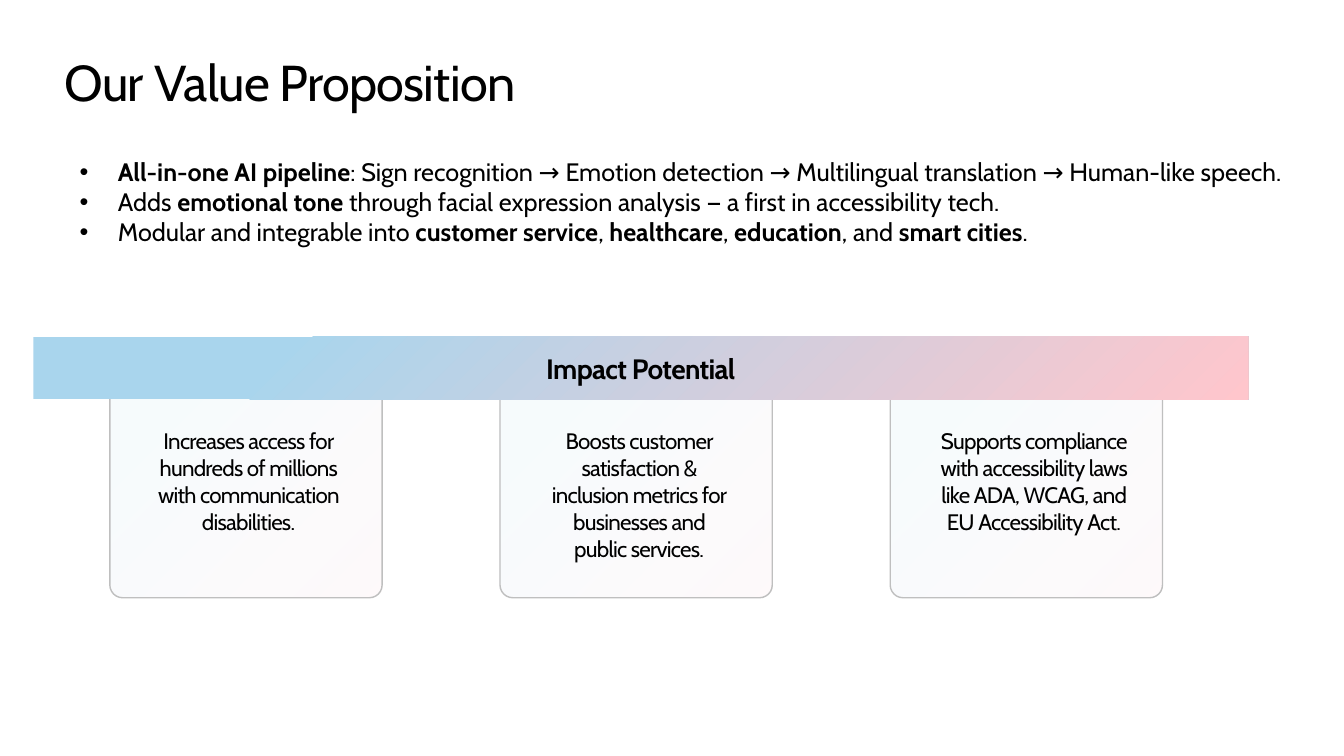
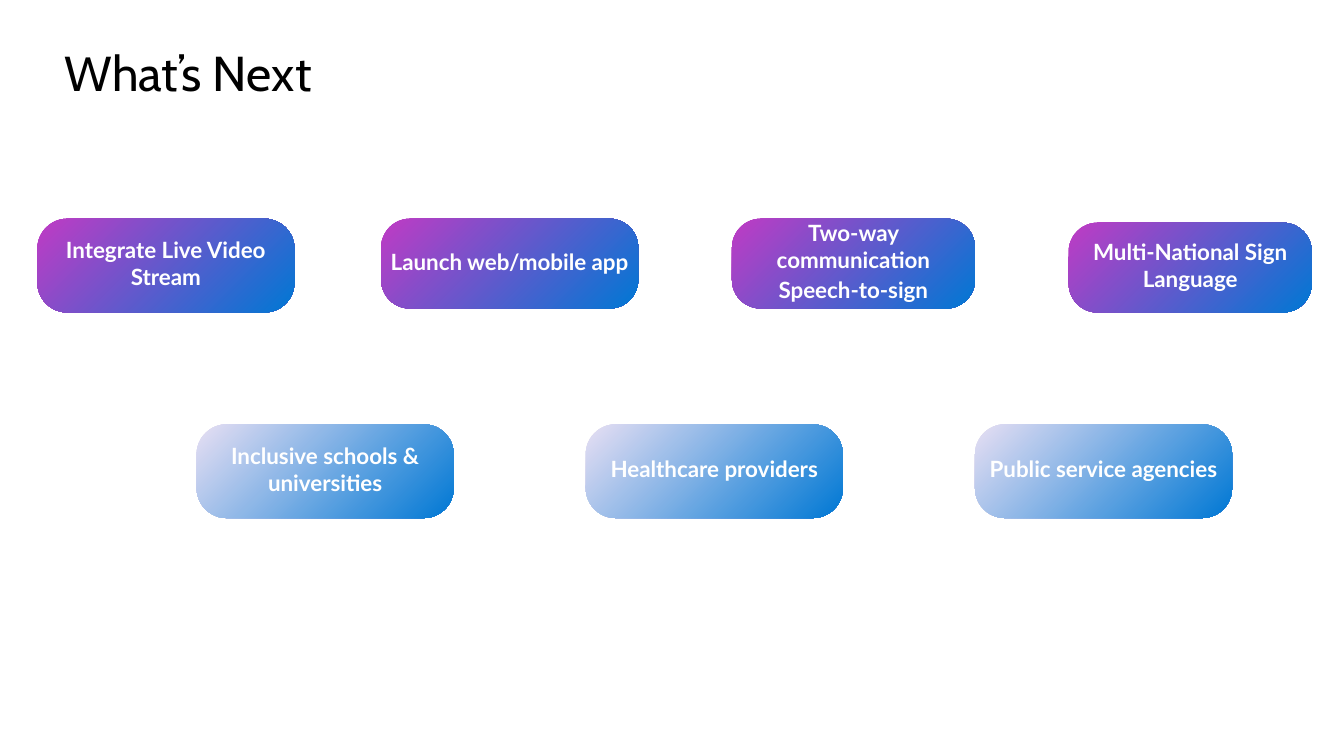
from pptx import Presentation
from pptx.dml.color import RGBColor
from pptx.enum.shapes import MSO_SHAPE as Shape
from pptx.enum.text import MSO_ANCHOR as Anchor, MSO_AUTO_SIZE as AutoSize, PP_ALIGN as Align
from pptx.oxml import parse_xml
from pptx.oxml.ns import nsdecls, qn
from pptx.util import Inches, Pt

BLACK, WHITE, GREY = "000000", "FFFFFF", "BFBFBF"
PINK, SKY = "FFC6CC", "A9D5ED"
PURPLE, LAVENDER, BLUE = "C03BC4", "E7DFF3", "0078D4"
LINEAR = '<a:lin ang="2700000" scaled="0"/>'
RADIAL = '<a:path path="circle"><a:fillToRect l="100000" t="100000"/></a:path>'


def color(value):
    return RGBColor.from_string(value)


class Deck:
    """Holds the shared style and the slide being built."""

    def __init__(self):
        self.presentation = Presentation()
        self.presentation.slide_width = Inches(13.33)
        self.presentation.slide_height = Inches(7.5)
        self.slide = None

    def add_slide(self, title, top, size, spacing=0):
        layout = self.presentation.slide_layouts[5]
        self.slide = self.presentation.slides.add_slide(layout)
        shape = self.slide.shapes.title
        shape.left, shape.top = Inches(0.64), Inches(top)
        shape.width, shape.height = Inches(12.05), Inches(0.61)
        self.set_text(shape, title, size, align=Align.LEFT, spacing=spacing)

    def set_text(self, shape, text, size, font="Cabin", ink=BLACK, bold=False,
                 align=Align.CENTER, anchor=Anchor.MIDDLE, spacing=0, gap=0):
        frame = shape.text_frame
        frame.text = text
        frame.word_wrap = True
        frame.auto_size = AutoSize.NONE
        frame.vertical_anchor = anchor
        frame.margin_left = frame.margin_right = 0
        frame.margin_top = frame.margin_bottom = 0
        for index, paragraph in enumerate(frame.paragraphs):
            paragraph.alignment = align
            if index and gap:
                paragraph.space_before = Pt(gap)
            for run in paragraph.runs:
                self.format_run(run, size, font, ink, bold, spacing)

    def format_run(self, run, size, font="Cabin", ink=BLACK, bold=False, spacing=0):
        run.font.size = Pt(size)
        run.font.name = font
        run.font.bold = bold
        run.font.color.rgb = color(ink)
        if spacing:
            run._r.get_or_add_rPr().set("spc", str(int(spacing * 100)))

    def add_text(self, left, top, width, height, text, size, **style):
        box = self.slide.shapes.add_textbox(
            Inches(left), Inches(top), Inches(width), Inches(height))
        self.set_text(box, text, size, anchor=Anchor.TOP, **style)

    def add_bullets(self, left, top, width, height, items, size):
        """Text between double asterisks becomes bold."""
        box = self.slide.shapes.add_textbox(
            Inches(left), Inches(top), Inches(width), Inches(height))
        self.set_text(box, "", size, anchor=Anchor.TOP, align=Align.LEFT)
        frame = box.text_frame
        for index, item in enumerate(items):
            paragraph = frame.add_paragraph() if index else frame.paragraphs[0]
            properties = paragraph._p.get_or_add_pPr()
            properties.set("marL", str(Inches(0.38)))
            properties.set("indent", str(-Inches(0.38)))
            properties.append(parse_xml(f'<a:buFont {nsdecls("a")} typeface="Arial"/>'))
            properties.append(parse_xml(f'<a:buChar {nsdecls("a")} char="•"/>'))
            for part, text in enumerate(item.split("**")):
                if text:
                    run = paragraph.add_run()
                    run.text = text
                    self.format_run(run, size, bold=part % 2 == 1)

    def add_panel(self, left, top, width, height, stops, direction,
                  kind=Shape.ROUNDED_RECTANGLE, corner=None, opacity=100, outline=None):
        """Shape with a gradient fill; stops are (percent, colour) pairs."""
        shape = self.slide.shapes.add_shape(
            kind, Inches(left), Inches(top), Inches(width), Inches(height))
        shape.shadow.inherit = False
        if corner is not None:
            shape.adjustments[0] = corner
        shape.fill.background()
        placeholder_fill = shape.element.spPr.find(qn("a:noFill"))
        stop_xml = "".join(
            f'<a:gs pos="{percent * 1000}"><a:srgbClr val="{value}">'
            f'<a:alpha val="{opacity * 1000}"/></a:srgbClr></a:gs>'
            for percent, value in stops)
        gradient = parse_xml(
            f'<a:gradFill {nsdecls("a")} rotWithShape="1">'
            f'<a:gsLst>{stop_xml}</a:gsLst>{direction}</a:gradFill>')
        shape.element.spPr.replace(placeholder_fill, gradient)
        if outline:
            shape.line.color.rgb = color(outline)
            shape.line.width = Pt(1)
        else:
            shape.line.fill.background()
        return shape

    def add_pill(self, left, top, width, height, text, start):
        pill = self.add_panel(left, top, width, height,
                              [(0, start), (100, BLUE)], LINEAR, corner=0.32)
        self.set_text(pill, text, 16, font="Lato", ink=WHITE, bold=True, gap=2)
        pill.text_frame.margin_bottom = Inches(0.05)


def build_value_slide(deck):
    deck.add_slide("Our Value Proposition", 0.5, 36, spacing=-0.5)
    deck.add_bullets(0.79, 1.55, 12.14, 0.95, [
        "**All-in-one AI pipeline**: Sign recognition → Emotion detection → "
        "Multilingual translation → Human-like speech.",
        "Adds **emotional tone** through facial expression analysis — "
        "a first in accessibility tech.",
        "Modular and integrable into **customer service**, **healthcare**, "
        "**education**, and **smart cities**.",
    ], 18)

    # Cards hang below the banner
    stops = [(0, PINK), (80, SKY)]
    impacts = [
        (1.49, 1.95, "Increases access for hundreds of millions with "
                     "communication disabilities."),
        (5.41, 1.86, "Boosts customer satisfaction & inclusion metrics for "
                     "businesses and public services."),
        (9.26, 1.99, "Supports compliance with accessibility laws like ADA, "
                     "WCAG, and EU Accessibility Act."),
    ]
    for index, (left, width, text) in enumerate(impacts):
        deck.add_panel(1.09 + 3.87 * index, 3.82, 2.7, 2.11, stops, RADIAL,
                       corner=0.06, opacity=10, outline=GREY)
        deck.add_text(left, 4.24, width, 1.4, text, 16, spacing=-0.5)

    # Banner
    banner = deck.add_panel(0.33, 3.34, 12.05, 0.62, stops, RADIAL, kind=Shape.RECTANGLE)
    deck.set_text(banner, "Impact Potential", 20, bold=True, spacing=-0.5)


def build_next_slide(deck):
    deck.add_slide("What’s Next", 0.41, 35)

    # Product steps
    steps = [
        (0.37, 2.17, 2.55, 0.93, "Integrate Live Video Stream"),
        (3.78, 2.17, 2.55, 0.89, "Launch web/mobile app"),
        (7.26, 2.17, 2.41, 0.89, "Two-way communication\nSpeech-to-sign"),
        (10.6, 2.21, 2.41, 0.89, "Multi-National Sign Language"),
    ]
    for step in steps:
        deck.add_pill(*step, PURPLE)

    # Partners
    partners = ["Inclusive schools & universities", "Healthcare providers",
                "Public service agencies"]
    for index, partner in enumerate(partners):
        deck.add_pill(1.95 + 3.86 * index, 4.21, 2.55, 0.93, partner, LAVENDER)


def main():
    deck = Deck()
    build_value_slide(deck)
    build_next_slide(deck)
    deck.presentation.save("out.pptx")


if __name__ == "__main__":
    main()
